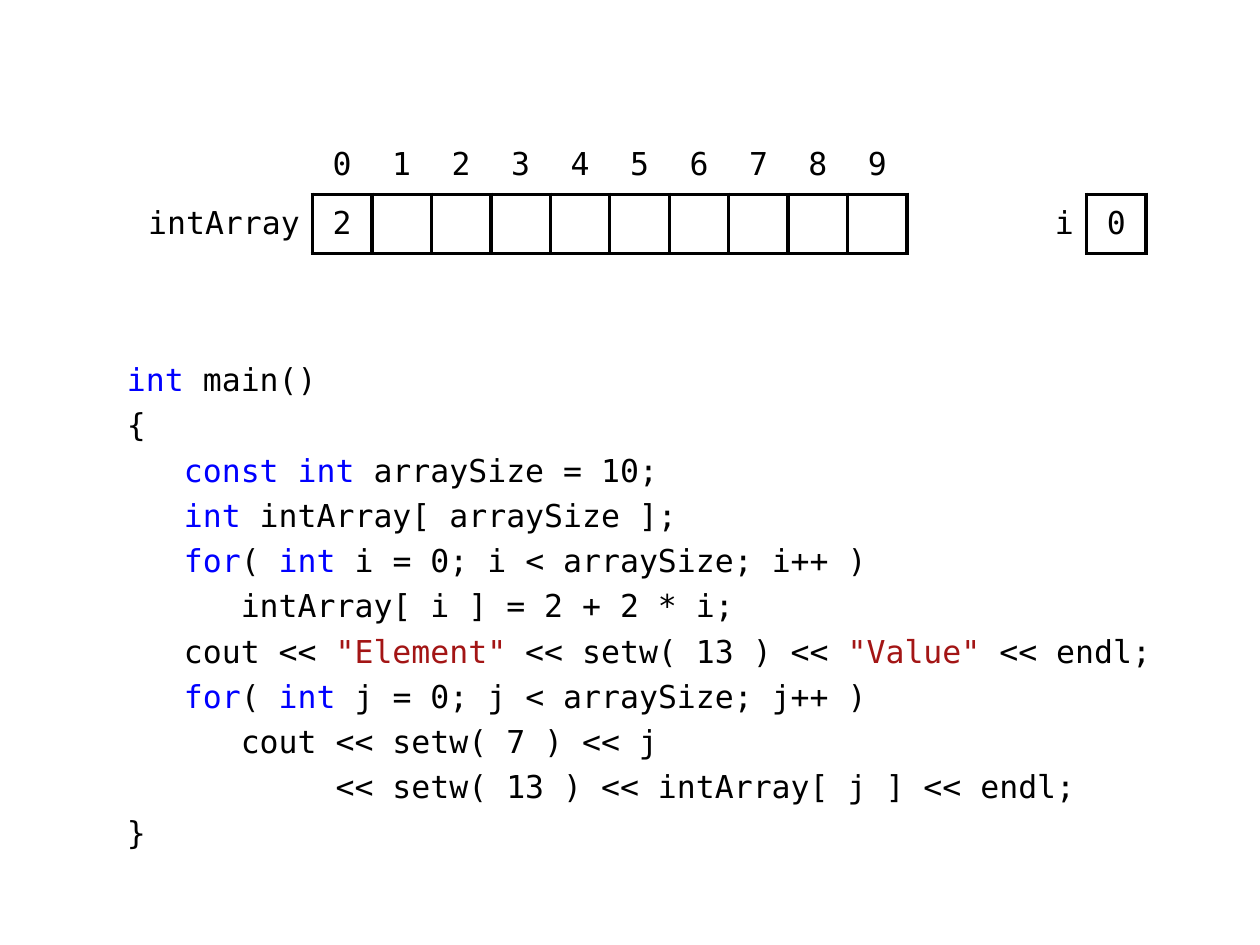
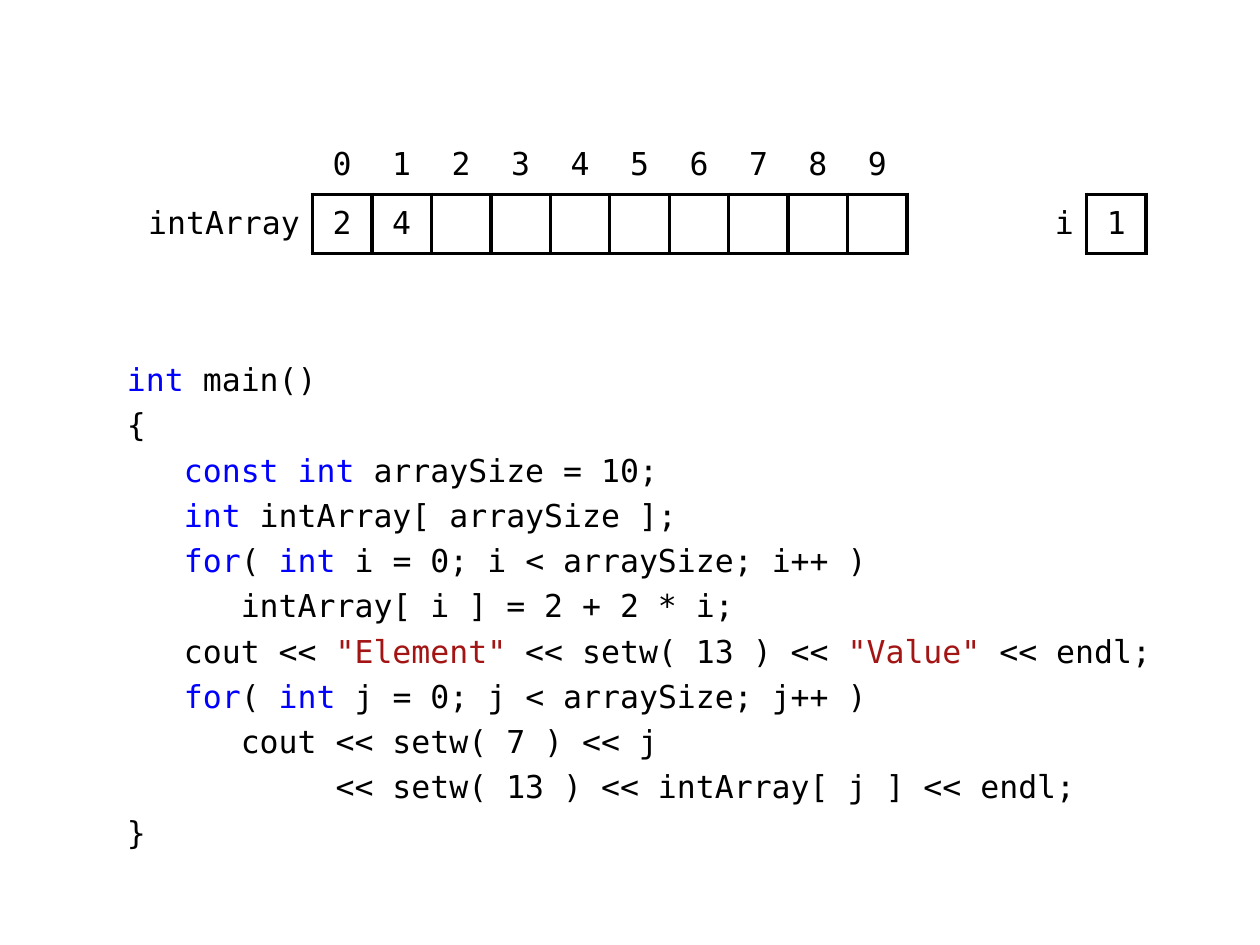
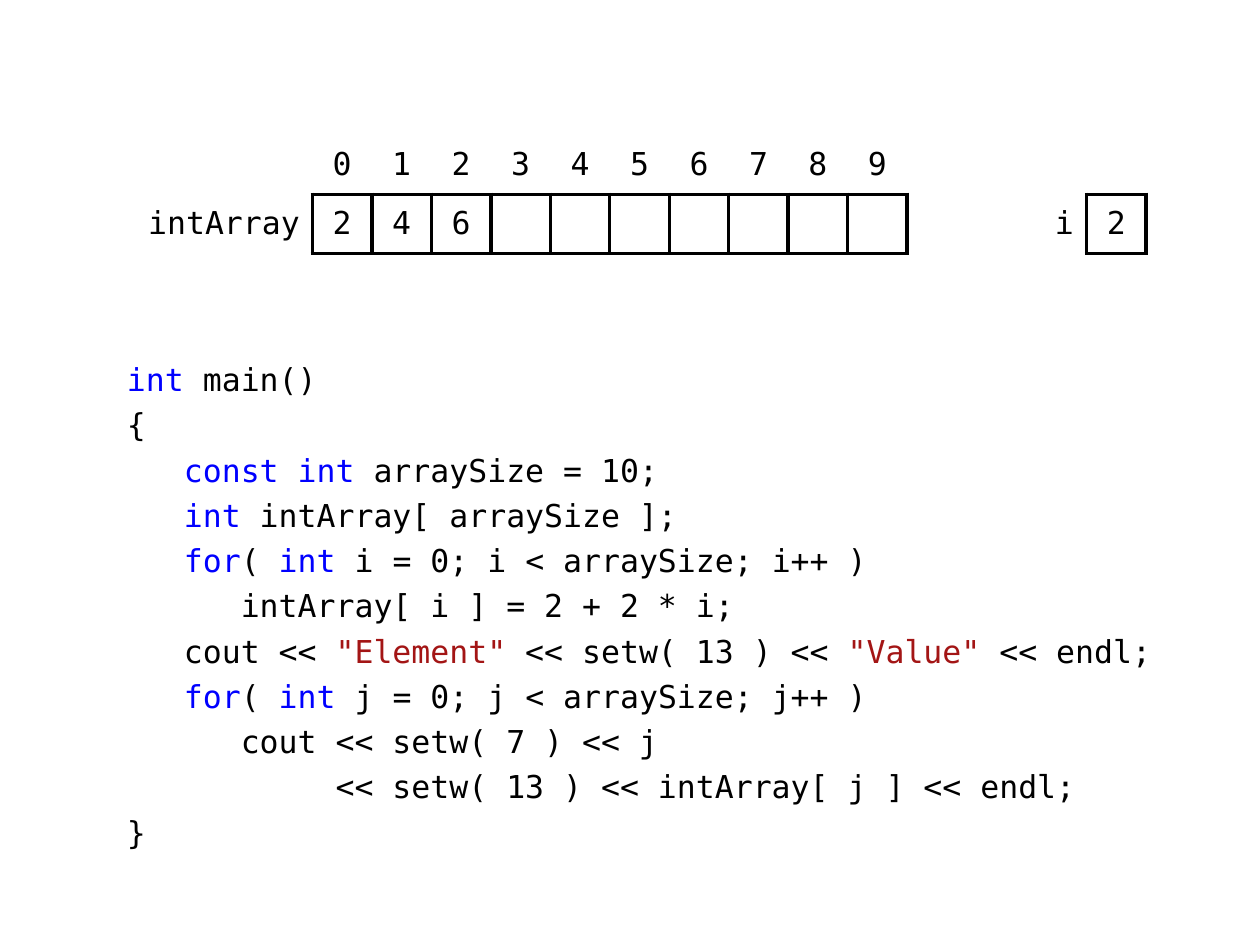
"""Build three slides that trace a C++ loop filling an array."""
from pptx import Presentation
from pptx.dml.color import RGBColor
from pptx.enum.text import MSO_ANCHOR, PP_ALIGN
from pptx.oxml import parse_xml
from pptx.oxml.ns import nsdecls
from pptx.util import Pt

BLACK = RGBColor(0x00, 0x00, 0x00)
BLUE = RGBColor(0x00, 0x00, 0xFF)
RED = RGBColor(0xA3, 0x15, 0x15)
FONT = {"name": "DejaVu Sans Mono", "size": Pt(18)}
LEFT = Pt(65.5)
CELL = 34
SIZE = 10
LABELS = {0: "intArray", SIZE + 1: "i"}
WIDTHS = [113] + [CELL] * SIZE + [102.5, CELL]
SIDES = {"lnL": (0, -1), "lnR": (0, 1), "lnT": (-1, 0), "lnB": (1, 0)}
BOXES = {(1, col) for col in range(len(WIDTHS)) if col not in LABELS}
CODE = """|int| main()
{
|   const int |arraySize = 10;
   |int |intArray[ arraySize ];
   |for|( |int |i = 0; i < arraySize; i++ )
      intArray[ i ] = 2 + 2 * i;
   cout << |"Element"| << setw( 13 ) << |"Value"| << endl;
   |for|( |int| j = 0; j < arraySize; j++ )
      cout << setw( 7 ) << j
           << setw( 13 ) << intArray[ j ] << endl;
}"""


def add_run(p, text, color=BLACK):
    r = p.add_run()
    r.text = text
    for name, value in FONT.items():
        setattr(r.font, name, value)
    r.font.color.rgb = color


def add_borders(cell, row, col):
    tcPr = cell._tc.get_or_add_tcPr()
    for side, (down, right) in SIDES.items():
        drawn = BOXES & {(row, col), (row + down, col + right)}
        fill = f'<a:solidFill><a:srgbClr val="{BLACK}"/></a:solidFill>' if drawn else "<a:noFill/>"
        tcPr.append(parse_xml(f'<a:{side} {nsdecls("a")} w="{Pt(2.25)}">{fill}</a:{side}>'))


prs = Presentation()
prs.slide_width, prs.slide_height = Pt(720), Pt(540)

for i in range(3):
    s = prs.slides.add_slide(prs.slide_layouts[6])

    tf = s.shapes.add_textbox(LEFT, Pt(202.3), Pt(601.5), Pt(294.5)).text_frame
    tf.word_wrap = True
    for n, line in enumerate(CODE.split("\n")):
        p = tf.add_paragraph() if n else tf.paragraphs[0]
        p.space_before = Pt(4.25 if n else 0)
        for k, part in enumerate(line.split("|")):
            if part:
                marked = RED if part.startswith('"') else BLUE
                add_run(p, part, marked if k % 2 else BLACK)

    frame = s.shapes.add_table(2, len(WIDTHS), LEFT, Pt(77), Pt(sum(WIDTHS)), Pt(2 * CELL))
    table = frame.table
    table.first_row = table.horz_banding = False
    for col, width in enumerate(WIDTHS):
        table.columns[col].width = Pt(width)

    texts = {(1, col): label for col, label in LABELS.items()}
    texts |= {(0, k + 1): str(k) for k in range(SIZE)}
    texts |= {(1, k + 1): str(2 + 2 * k) for k in range(i + 1)}
    texts[1, SIZE + 2] = str(i)
    for row in range(2):
        for col in range(len(WIDTHS)):
            cell = table.cell(row, col)
            add_borders(cell, row, col)
            cell.fill.background()
            cell.vertical_anchor = MSO_ANCHOR.MIDDLE
            if (row, col) in texts:
                p = cell.text_frame.paragraphs[0]
                p.alignment = PP_ALIGN.RIGHT if col in LABELS else PP_ALIGN.CENTER
                add_run(p, texts[row, col])

prs.save("out.pptx")
